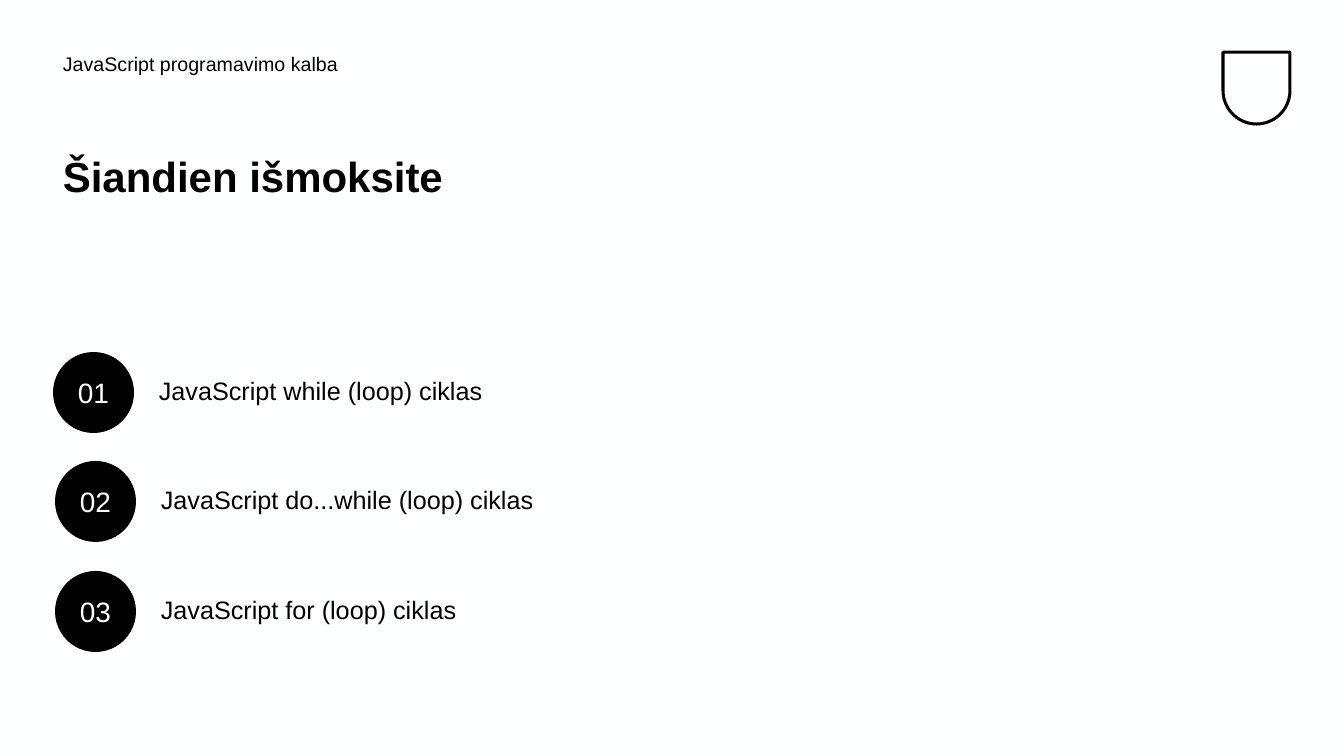
from dataclasses import dataclass

from pptx import Presentation, util as u
from pptx.dml.color import RGBColor
from pptx.enum import shapes, text

EMU_PER_PX = 914400 / 100.8
COLORS = {"ink": "000000", "paper": "FEFFFF"}
FONT = "Arial"
BADGE = 81
LABEL_DX, LABEL_DY = 96, 18


@dataclass
class Label:
    """A line of text and its box in pixels."""
    words: str
    x: int
    y: int
    w: int
    h: int
    size: int
    bold: bool = False
    spacing: float = 1.0


@dataclass
class Topic:
    """A numbered topic, placed by the corner of its badge."""
    words: str
    x: int
    y: int


HEADINGS = [
    Label("JavaScript programavimo kalba", 53, 50, 748, 50, 14, spacing=0.9),
    Label("Šiandien išmoksite", 53, 151, 569, 150, 30, bold=True, spacing=0.9),
]
TOPICS = [
    Topic("JavaScript while (loop) ciklas", 53, 352),
    Topic("JavaScript do...while (loop) ciklas", 55, 461),
    Topic("JavaScript for (loop) ciklas", 55, 571),
]


def px(n: float) -> u.Emu:
    """Turn pixels into EMU."""
    return u.Emu(round(n * EMU_PER_PX))


def rgb(name: str) -> RGBColor:
    """Look up a named colour."""
    return RGBColor.from_string(COLORS[name])


def set_font(p, size: int, color: str, bold: bool = False) -> None:
    """Set the font of a whole paragraph."""
    p.font.name = FONT
    p.font.size = u.Pt(size)
    p.font.bold = bold
    p.font.color.rgb = rgb(color)


def add_label(s, label: Label) -> None:
    """Draw a wrapped text box."""
    sp = s.shapes.add_textbox(px(label.x), px(label.y), px(label.w), px(label.h))
    tf = sp.text_frame
    tf.word_wrap = True
    p = tf.paragraphs[0]
    p.text = label.words
    p.line_spacing = label.spacing
    set_font(p, label.size, "ink", label.bold)


def add_topic(s, number: int, topic: Topic) -> None:
    """Draw a topic label and its round number badge."""
    add_label(s, Label(topic.words, topic.x + LABEL_DX, topic.y + LABEL_DY, 467, 45, 18))
    sp = s.shapes.add_shape(shapes.MSO_SHAPE.OVAL, px(topic.x), px(topic.y), px(BADGE), px(BADGE))
    sp.shadow.inherit = False
    sp.fill.solid()
    sp.fill.fore_color.rgb = rgb("ink")
    sp.line.fill.background()
    tf = sp.text_frame
    tf.vertical_anchor = text.MSO_ANCHOR.MIDDLE
    p = tf.paragraphs[0]
    p.text = f"{number:02d}"
    p.alignment = text.PP_ALIGN.CENTER
    set_font(p, 20, "paper")


def add_shield(s) -> None:
    """Draw a plain shield outline in the top right corner."""
    sp = s.shapes.add_shape(shapes.MSO_SHAPE.ROUND_2_SAME_RECTANGLE, px(1223), px(52), px(67), px(72))
    sp.adjustments[0] = 0.5
    sp.rotation = 180
    sp.shadow.inherit = False
    sp.fill.background()
    sp.line.color.rgb = rgb("ink")
    sp.line.width = px(3)


prs = Presentation()
prs.slide_width, prs.slide_height = px(1344), px(756)
s = prs.slides.add_slide(prs.slide_layouts[6])
s.background.fill.solid()
s.background.fill.fore_color.rgb = rgb("paper")

add_shield(s)
for heading in HEADINGS:
    add_label(s, heading)
for number, topic in enumerate(TOPICS, 1):
    add_topic(s, number, topic)

prs.save("out.pptx")
